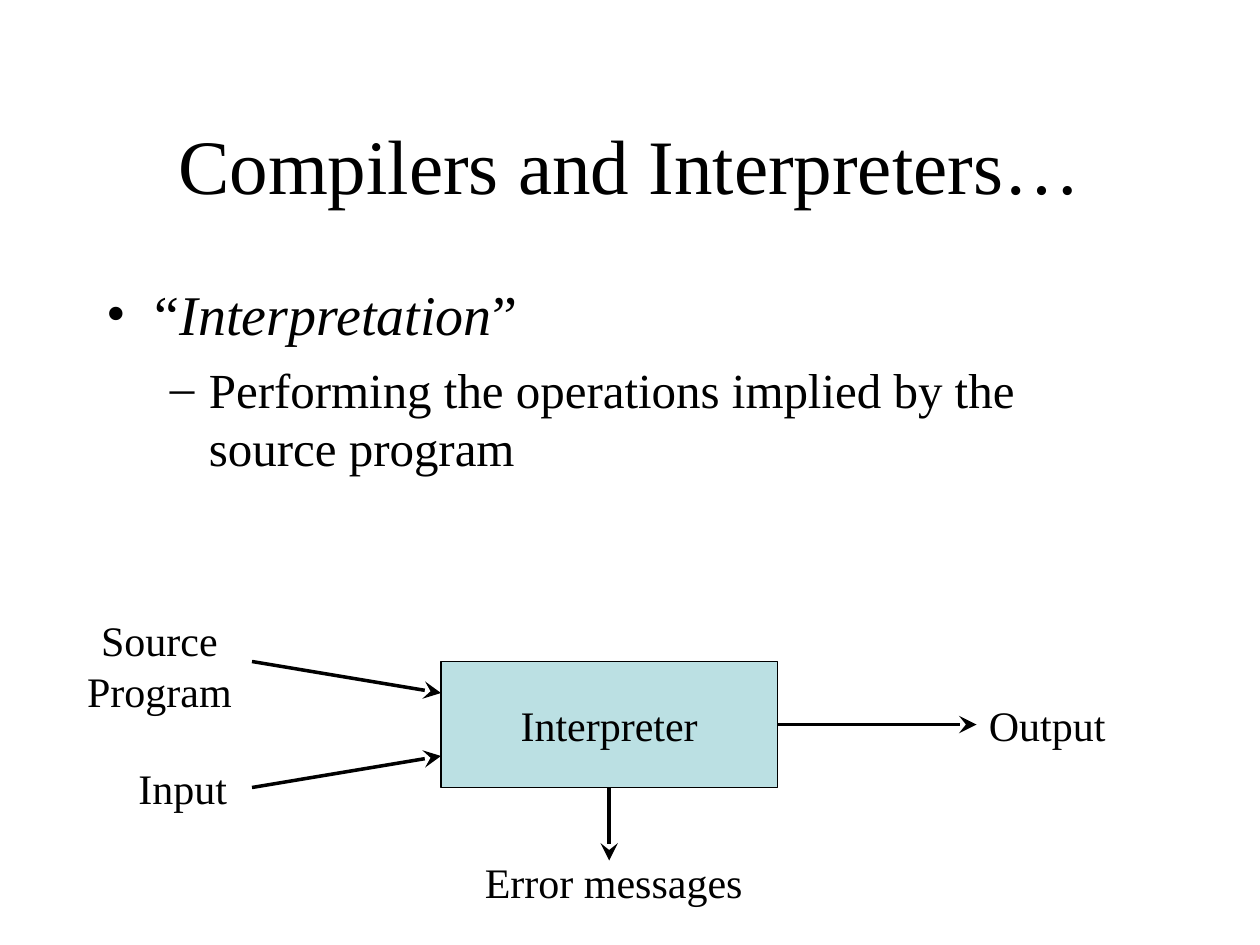
import pptx
import pptx.util
import pptx.dml.color
import pptx.enum.shapes
import pptx.enum.text
import pptx.oxml.ns
from lxml import etree

Inches, Pt = pptx.util.Inches, pptx.util.Pt
ALIGN = pptx.enum.text.PP_ALIGN
ANCHOR = pptx.enum.text.MSO_ANCHOR
FIT = pptx.enum.text.MSO_AUTO_SIZE
COLORS = {"ink": "000000", "machine": "BBE0E3"}
FONT = "Times New Roman"

TITLE = "Compilers and Interpreters…"
# runs as (text, italic)
BULLETS = [
    dict(runs=[("“", False), ("Interpretation", True), ("”", False)],
         mark="•", level=0, left=0.38, hang=0.38, size=32, before=0),
    dict(runs=[("Performing the operations implied by the source program", False)],
         mark="–", level=1, left=0.81, hang=0.31, size=28, before=7),
]
MACHINE = ("Interpreter", (3.5, 5.25, 2.67, 1))
LABELS = [
    (["Source", "Program"], (0.59, 4.83, 1.35, 0.9), ALIGN.CENTER),
    (["Input"], (1, 6, 0.92, 0.5), ALIGN.LEFT),
    (["Output"], (7.75, 5.5, 1.14, 0.5), ALIGN.LEFT),
    (["Error messages"], (3.75, 6.75, 2.26, 0.5), ALIGN.LEFT),
]


def color(name):
    return pptx.dml.color.RGBColor.from_string(COLORS[name])


def add_element(parent, tag, **attributes):
    return etree.SubElement(parent, pptx.oxml.ns.qn(tag), **attributes)


def style(font, size, italic=False):
    font.name, font.size, font.italic = FONT, Pt(size), italic
    font.color.rgb = color("ink")


def write(shape, lines, size=24, align=ALIGN.LEFT, anchor=ANCHOR.TOP,
          wrap=False, fit=FIT.NONE):
    frame = shape.text_frame
    frame.word_wrap, frame.vertical_anchor, frame.auto_size = wrap, anchor, fit
    frame.text = "\n".join(lines)
    for para in frame.paragraphs:
        para.alignment = align
        for span in para.runs:
            style(span.font, size)


def add_box(page, area):
    return page.shapes.add_textbox(*map(Inches, area))


def add_bullets(page, area, bullets):
    frame = add_box(page, area).text_frame
    frame.word_wrap = True
    for index, item in enumerate(bullets):
        para = frame.add_paragraph() if index else frame.paragraphs[0]
        para.level = item["level"]
        para.space_before = Pt(item["before"])
        properties = para._p.get_or_add_pPr()
        properties.set("marL", str(Inches(item["left"])))
        properties.set("indent", str(-Inches(item["hang"])))
        add_element(properties, "a:buFont", typeface=FONT)
        add_element(properties, "a:buChar", char=item["mark"])
        for text, italic in item["runs"]:
            span = para.add_run()
            span.text = text
            style(span.font, item["size"], italic)


def add_arrow(page, start, end):
    arrow = page.shapes.add_connector(
        pptx.enum.shapes.MSO_CONNECTOR.STRAIGHT, *map(Inches, start + end))
    arrow.line.color.rgb = color("ink")
    arrow.line.width = Pt(2)
    add_element(arrow.line._get_or_add_ln(), "a:tailEnd",
                type="stealth", w="lg", len="lg")
    add_element(arrow._element.spPr, "a:effectLst")


def add_machine(page, text, area):
    machine = page.shapes.add_shape(
        pptx.enum.shapes.MSO_SHAPE.RECTANGLE, *map(Inches, area))
    machine.shadow.inherit = False
    machine.fill.solid()
    machine.fill.fore_color.rgb = color("machine")
    machine.line.color.rgb = color("ink")
    machine.line.width = Pt(0.75)
    write(machine, [text], align=ALIGN.CENTER, anchor=ANCHOR.MIDDLE)


def main():
    deck = pptx.Presentation()
    deck.slide_width, deck.slide_height = Inches(10), Inches(7.5)
    page = deck.slides.add_slide(deck.slide_layouts[6])

    write(add_box(page, (0.75, 0.67, 8.5, 1.25)), [TITLE], size=44,
          align=ALIGN.CENTER, anchor=ANCHOR.MIDDLE, wrap=True)
    add_bullets(page, (0.75, 2.17, 8.5, 4.5), BULLETS)
    add_machine(page, *MACHINE)
    for lines, area, align in LABELS:
        write(add_box(page, area), lines, align=align, fit=FIT.SHAPE_TO_FIT_TEXT)

    left, top, width, height = MACHINE[1]
    right, bottom = left + width, top + height
    center, middle = left + width / 2, top + height / 2
    add_arrow(page, (2, top), (left, top + height / 4))
    add_arrow(page, (2, bottom), (left, bottom - height / 4))
    add_arrow(page, (right, middle), (7.75, middle))
    add_arrow(page, (center, bottom), (center, 6.83))
    deck.save("out.pptx")


if __name__ == "__main__":
    main()
